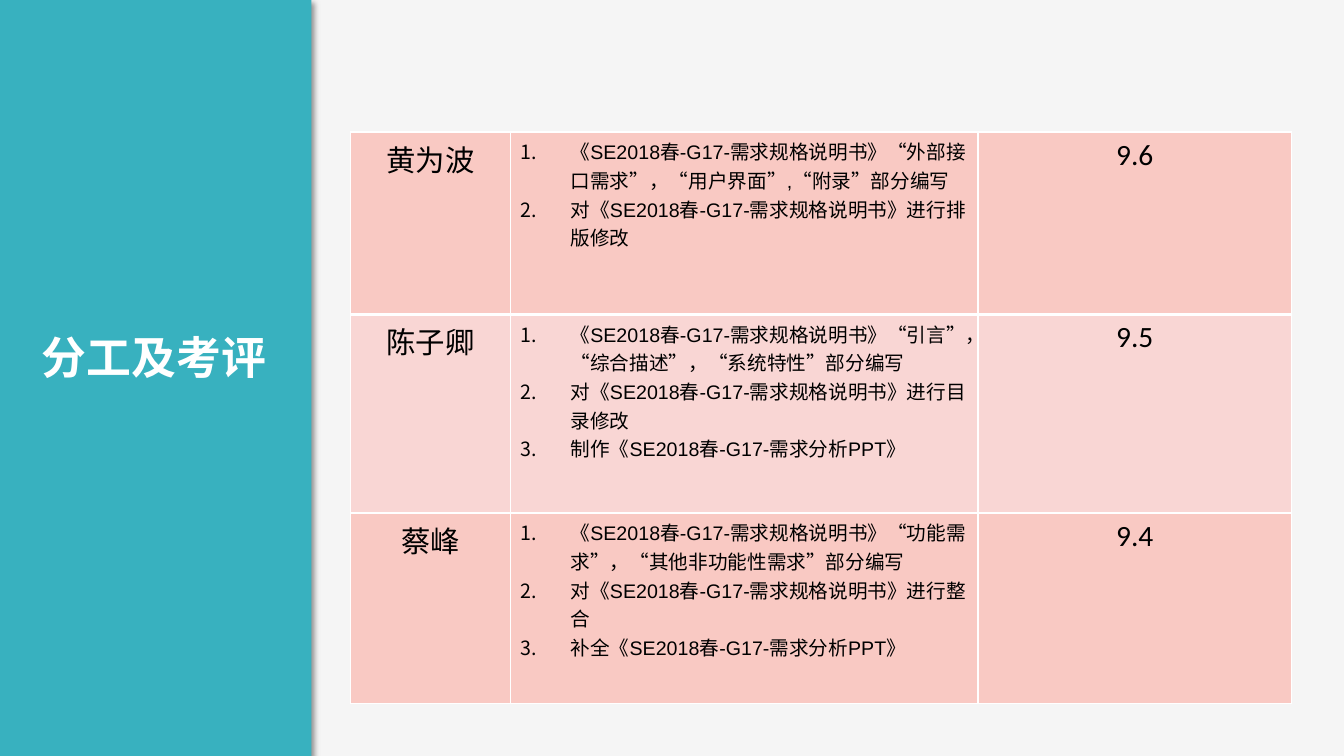
from lxml import etree
from pptx import Presentation
from pptx import util as u
from pptx.dml import color
from pptx.enum import text
from pptx.oxml import ns

COLORS = {
    "background": "F5F5F5", "panel": "38B1BF", "title": "FFFFFF",
    "body": "000000", "border": "FFFFFF", "shadow": "000000",
    "row_dark": "F9C9C3", "row_light": "F9D6D4",
}
CJK_FONT = "Noto Sans CJK SC"
TITLE_FONT = {"name": CJK_FONT, "size": u.Pt(32), "bold": True}
LABEL_FONT = {"name": "Calibri", "size": u.Pt(21), "bold": False}
TASK_FONT = {"name": "Arial", "size": u.Pt(14), "bold": False}
TITLE_FRAME = {
    "margin_left": u.Inches(0.13), "margin_right": u.Inches(0.13),
    "margin_top": u.Inches(0.07), "margin_bottom": u.Inches(0.07),
    "word_wrap": True, "auto_size": text.MSO_AUTO_SIZE.NONE,
    "vertical_anchor": text.MSO_ANCHOR.MIDDLE,
}
COLUMN_WIDTHS = [1.58, 4.64, 3.11]
ROW_HEIGHTS = [1.81, 1.97, 1.89]
SPEC_BOOK = "《SE2018春-G17-需求规格说明书》"
ANALYSIS_SLIDES = "《SE2018春-G17-需求分析PPT》"
MEMBERS = [
    ("黄为波", [
        [SPEC_BOOK + "“外部接口需求”，“用户界面”,“附录”部分编写"],
        ["对" + SPEC_BOOK + "进行排版修改"],
    ], "9.6"),
    ("陈子卿", [
        [SPEC_BOOK + "“引言”，“综合描述”，“系统特性”部分编写"],
        ["对" + SPEC_BOOK + "进行目录修改"],
        ["制作", ANALYSIS_SLIDES],
    ], "9.5"),
    ("蔡峰", [
        [SPEC_BOOK + "“功能需求”，“其他非功能性需求”部分编写"],
        ["对" + SPEC_BOOK + "进行整合"],
        ["补全", ANALYSIS_SLIDES],
    ], "9.4"),
]


def rgb(name):
    return color.RGBColor.from_string(COLORS[name])


def set_attributes(target, values):
    for name, value in values.items():
        setattr(target, name, value)


def add_child(parent, tag, **attributes):
    child = etree.SubElement(parent, ns.qn(tag))
    for name, value in attributes.items():
        child.set(name, str(value))
    return child


def fill_solid(fill, name):
    fill.solid()
    fill.fore_color.rgb = rgb(name)


def add_run(paragraph, content, font, color_name="body"):
    run = paragraph.add_run()
    run.text = content
    set_attributes(run.font, font)
    run.font.color.rgb = rgb(color_name)
    add_child(run.font._element, "a:ea", typeface=CJK_FONT)


def add_panel(slide):
    panel = slide.shapes.add_shape(
        1, u.Inches(-0.12), u.Inches(0), u.Inches(3.21), u.Inches(7.5))
    fill_solid(panel.fill, "panel")
    panel.line.fill.background()
    panel.shadow.inherit = False
    effects = panel._element.spPr.find(ns.qn("a:effectLst"))
    shadow = add_child(effects, "a:outerShdw", blurRad=u.Pt(4), dist=u.Pt(3),
                       dir=45 * 60000, algn="tl", rotWithShape=0)
    tint = add_child(shadow, "a:srgbClr", val=COLORS["shadow"])
    add_child(tint, "a:alpha", val=40000)
    slide.shapes._spTree.insert(2, panel._element)


def format_title(slide, content):
    title = slide.shapes.title
    set_attributes(title, {
        "left": u.Inches(-0.3), "top": u.Inches(3.2),
        "width": u.Inches(3.07), "height": u.Inches(0.67)})
    set_attributes(title.text_frame, TITLE_FRAME)
    paragraph = title.text_frame.paragraphs[0]
    paragraph.alignment = text.PP_ALIGN.RIGHT
    add_run(paragraph, content, TITLE_FONT, "title")


def set_borders(cell, widths):
    properties = cell._tc.get_or_add_tcPr()
    for index, (side, width) in enumerate(widths.items()):
        line = etree.Element(ns.qn("a:ln" + side), w=str(u.Pt(width)))
        fill = add_child(line, "a:solidFill")
        add_child(fill, "a:srgbClr", val=COLORS["border"])
        properties.insert(index, line)


def write_label(cell, content):
    paragraph = cell.text_frame.paragraphs[0]
    paragraph.alignment = text.PP_ALIGN.CENTER
    add_run(paragraph, content, LABEL_FONT)


def write_tasks(cell, tasks):
    frame = cell.text_frame
    for index, parts in enumerate(tasks):
        paragraph = frame.add_paragraph() if index else frame.paragraphs[0]
        properties = paragraph._p.get_or_add_pPr()
        properties.set("marL", str(u.Inches(0.5)))
        properties.set("indent", str(u.Inches(-0.5)))
        add_child(properties, "a:buFont", typeface="+mj-lt")
        add_child(properties, "a:buAutoNum", type="arabicPeriod")
        for part in parts:
            add_run(paragraph, part, TASK_FONT)


def add_review_table(slide):
    table = slide.shapes.add_table(
        len(MEMBERS), len(COLUMN_WIDTHS), u.Inches(3.48), u.Inches(1.31),
        u.Inches(sum(COLUMN_WIDTHS)), u.Inches(sum(ROW_HEIGHTS))).table
    set_attributes(table, {"first_row": False, "horz_banding": False})
    for column, width in zip(table.columns, COLUMN_WIDTHS):
        column.width = u.Inches(width)
    for index, (name, tasks, score) in enumerate(MEMBERS):
        row = table.rows[index]
        row.height = u.Inches(ROW_HEIGHTS[index])
        write_label(row.cells[0], name)
        write_tasks(row.cells[1], tasks)
        write_label(row.cells[2], score)
        widths = {"L": 1, "R": 1, "T": 3 if index == 1 else 1,
                  "B": 3 if index == 0 else 1}
        for cell in row.cells:
            fill_solid(cell.fill, "row_light" if index % 2 else "row_dark")
            set_borders(cell, widths)


def main():
    presentation = Presentation()
    presentation.slide_width = u.Inches(13.33)
    presentation.slide_height = u.Inches(7.5)
    slide = presentation.slides.add_slide(presentation.slide_layouts[5])
    fill_solid(slide.background.fill, "background")
    add_panel(slide)
    format_title(slide, "分工及考评")
    add_review_table(slide)
    presentation.save("out.pptx")


if __name__ == "__main__":
    main()
